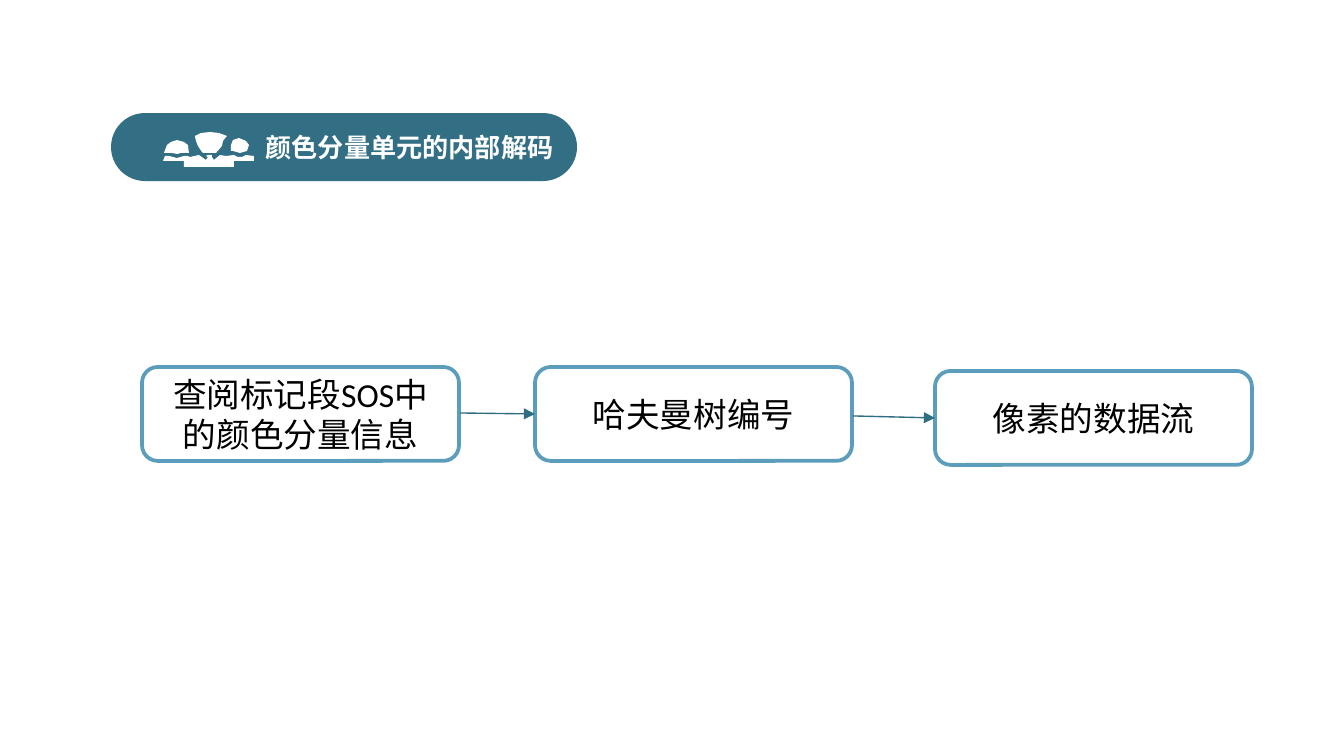
from lxml import etree
from pptx import Presentation
from pptx.dml.color import RGBColor
from pptx.enum.shapes import MSO_CONNECTOR, MSO_SHAPE
from pptx.enum.text import MSO_ANCHOR, PP_ALIGN
from pptx.oxml.ns import qn
from pptx.util import Pt

PX = 914400 / 134.4
ROUNDED = MSO_SHAPE.ROUNDED_RECTANGLE
STRAIGHT = MSO_CONNECTOR.STRAIGHT
MIDDLE = MSO_ANCHOR.MIDDLE
CENTER, RIGHT = PP_ALIGN.CENTER, PP_ALIGN.RIGHT

FONT = "Calibri"
COLORS = {
    "banner": "326E84",
    "border": "5B9DBB",
    "arrow": "2F6D83",
    "white": "FFFFFF",
    "text": "000000",
}

STEP_WIDTH, STEP_HEIGHT = 317, 94
STEPS = [
    (142, 367, "查阅标记段SOS中的颜色分量信息"),
    (535, 367, "哈夫曼树编号"),
    (935, 371, "像素的数据流"),
]
ARROWS = [(460, 413, 535, 414), (853, 416, 935, 418)]

# Outlines of the people icon
PEOPLE = [
    # Left head
    [(164, 153), (172, 153), (177, 154), (181, 153), (189, 153), (188, 145),
     (184, 142), (177, 140), (171, 142), (167, 145)],
    # Shoulders
    [(226, 156), (234, 155), (238, 157), (242, 157), (246, 155), (254, 156),
     (254, 161), (234, 161), (234, 167), (184, 167), (184, 161), (163, 161),
     (165, 156), (169, 156), (177, 158), (184, 156), (188, 156), (190, 157),
     (199, 155), (206, 160), (208, 157), (206, 156), (208, 155), (212, 155),
     (212, 157), (214, 160), (220, 155)],
    # Right head
    [(249, 145), (246, 141), (239, 138), (233, 140), (231, 145), (231, 151),
     (233, 151), (240, 153), (247, 151)],
    # Middle head
    [(223, 141), (227, 136), (219, 133), (210, 132), (201, 133), (195, 136),
     (196, 141), (198, 146), (202, 152), (203, 153), (210, 153), (216, 153),
     (222, 146)],
]


def px(length):
    return round(length * PX)


def rgb(name):
    return RGBColor.from_string(COLORS[name])


def paint(shape, fill, border=None):
    shape.shadow.inherit = False
    shape.fill.solid()
    shape.fill.fore_color.rgb = rgb(fill)
    if border:
        shape.line.color.rgb = rgb(border)
        shape.line.width = Pt(2)
    else:
        shape.line.fill.background()


def write(shape, text, size, color, align, bold=False, wrap=True):
    frame = shape.text_frame
    frame.word_wrap = wrap
    frame.vertical_anchor = MIDDLE
    paragraph = frame.paragraphs[0]
    paragraph.text = text
    paragraph.alignment = align
    font = paragraph.font
    font.name, font.size, font.bold = FONT, Pt(size), bold
    font.color.rgb = rgb(color)


def add_banner(slide, text):
    banner = slide.shapes.add_shape(ROUNDED, px(111), px(113), px(466), px(68))
    banner.adjustments[0] = 0.5
    paint(banner, "banner")
    write(banner, text, 14, "white", RIGHT, bold=True, wrap=False)


def add_icon(slide, outlines):
    first, *others = outlines
    builder = slide.shapes.build_freeform(*first[0], scale=PX)
    builder.add_line_segments(first[1:], close=True)
    for outline in others:
        builder.move_to(*outline[0])
        builder.add_line_segments(outline[1:], close=True)
    paint(builder.convert_to_shape(), "white")


def add_step(slide, left, top, text):
    step = slide.shapes.add_shape(
        ROUNDED, px(left), px(top), px(STEP_WIDTH), px(STEP_HEIGHT))
    paint(step, "white", "border")
    write(step, text, 18, "text", CENTER)


def add_arrow(slide, *ends):
    arrow = slide.shapes.add_connector(STRAIGHT, *map(px, ends))
    arrow.line.color.rgb = rgb("arrow")
    arrow.line.width = Pt(0.75)
    etree.SubElement(arrow.line._get_or_add_ln(), qn("a:tailEnd"), type="triangle")
    etree.SubElement(arrow._element.spPr, qn("a:effectLst"))


def main():
    deck = Presentation()
    deck.slide_width, deck.slide_height = px(1344), px(756)
    slide = deck.slides.add_slide(deck.slide_layouts[6])

    # Heading
    add_banner(slide, "颜色分量单元的内部解码")
    add_icon(slide, PEOPLE)

    # Decoding steps
    for step in STEPS:
        add_step(slide, *step)
    for ends in ARROWS:
        add_arrow(slide, *ends)

    deck.save("out.pptx")


if __name__ == "__main__":
    main()
